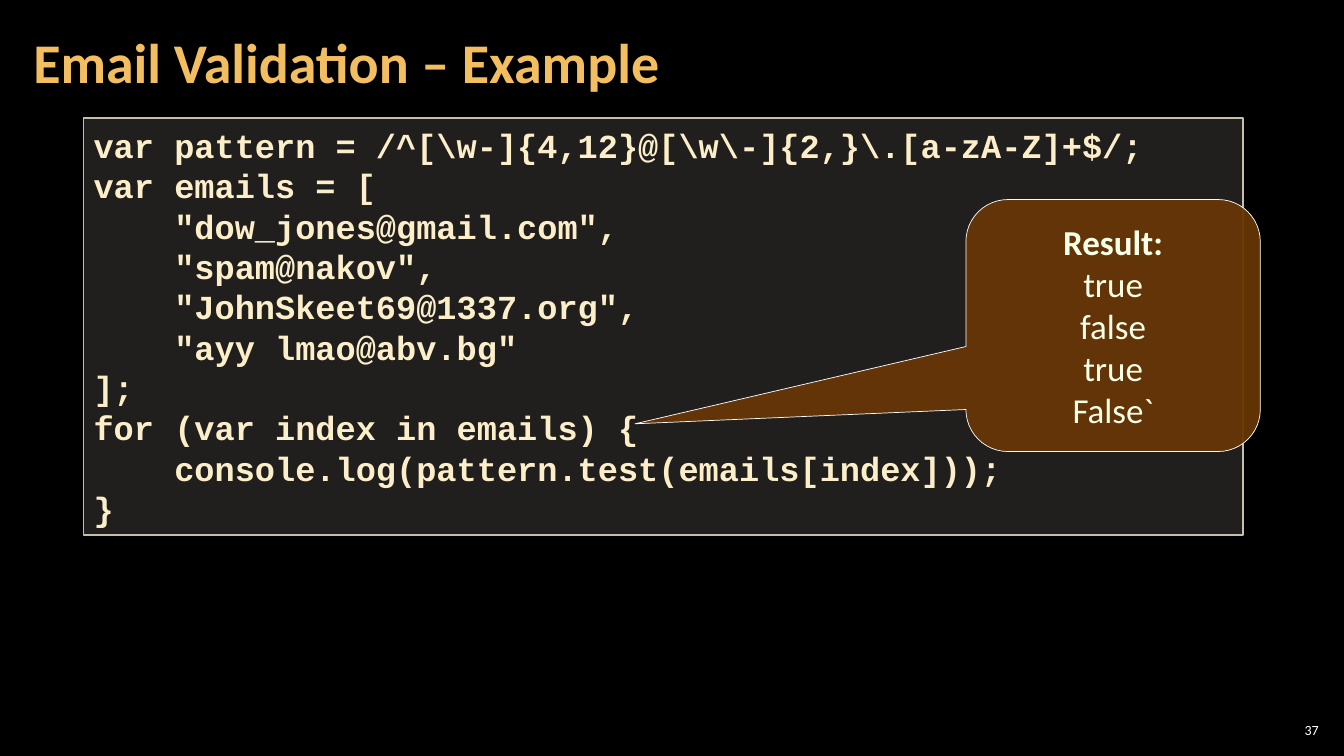
"""Build the slide that shows e-mail validation with a regular expression."""
from dataclasses import dataclass
from typing import Any, Optional

from lxml import etree
from pptx import Presentation
from pptx import util as u
from pptx.dml import color
from pptx.enum import shapes, text
from pptx.oxml import ns


@dataclass(frozen=True)
class Theme:
    sans: str = "Calibri"
    mono: str = "Courier New"
    background: str = "000000"
    white: str = "FFFFFF"
    title: str = "F3BE60"
    code: str = "FBEEC9"
    code_fill: str = "D9D5C7"
    code_line: str = "C7BFAC"
    result: str = "F7FFE7"
    result_fill: str = "663606"
    number_size: float = 10
    title_size: float = 40
    code_size: float = 24
    result_size: float = 25
    result_leading: float = 30


@dataclass(frozen=True)
class Frame:
    left: float
    top: float
    width: float
    height: float

    def place(self) -> list[u.Length]:
        return [u.Inches(v) for v in (self.left, self.top, self.width, self.height)]


@dataclass(frozen=True)
class Panel:
    kind: shapes.MSO_SHAPE
    frame: Frame
    fill: str
    opacity: int
    line: str
    line_width: float
    adjustments: tuple[float, ...] = ()


THEME = Theme()
CODE = r'''var pattern = /^[\w-]{4,12}@[\w\-]{2,}\.[a-zA-Z]+$/;
var emails = [
    "dow_jones@gmail.com",
    "spam@nakov",
    "JohnSkeet69@1337.org",
    "ayy lmao@abv.bg"
];
for (var index in emails) {
    console.log(pattern.test(emails[index]));
}'''
RESULT = "Result:\ntrue\nfalse\ntrue\nFalse`"
CODE_PANEL = Panel(shapes.MSO_SHAPE.RECTANGLE, Frame(0.83, 1.17, 11.5, 4.14),
                   THEME.code_fill, 15, THEME.code_line, 1)
RESULT_PANEL = Panel(shapes.MSO_SHAPE.ROUNDED_RECTANGULAR_CALLOUT,
                     Frame(9.58, 1.98, 2.92, 2.5), THEME.result_fill, 95,
                     THEME.white, 0.5, (-1.624, 0.39, 0.167))


def rgb(value: str) -> color.RGBColor:
    return color.RGBColor.from_string(value)


def write(box: Any, content: str, *, font: str, size: float, ink: str,
          bold_lines: int = 0, align: text.PP_ALIGN = text.PP_ALIGN.LEFT,
          spacing: Optional[float | u.Length] = None,
          inset: tuple[float, float] = (0.1, 0.05)) -> None:
    frame = box.text_frame
    frame.word_wrap = True
    frame.auto_size = text.MSO_AUTO_SIZE.NONE
    frame.vertical_anchor = text.MSO_ANCHOR.MIDDLE
    frame.margin_left = frame.margin_right = u.Inches(inset[0])
    frame.margin_top = frame.margin_bottom = u.Inches(inset[1])
    for index, line in enumerate(content.splitlines()):
        para = frame.add_paragraph() if index else frame.paragraphs[0]
        para.alignment = align
        para.line_spacing = spacing
        span = para.add_run()
        span.text = line
        span.font.name = font
        span.font.size = u.Pt(size)
        span.font.bold = index < bold_lines
        span.font.color.rgb = rgb(ink)


def add_panel(page: Any, panel: Panel) -> Any:
    box = page.shapes.add_shape(panel.kind, *panel.frame.place())
    box.shadow.inherit = False
    for index, value in enumerate(panel.adjustments):
        box.adjustments[index] = value
    box.fill.solid()
    box.fill.fore_color.rgb = rgb(panel.fill)
    tint = box.element.spPr.find(ns.qn("a:solidFill"))[0]
    etree.SubElement(tint, ns.qn("a:alpha"), val=str(panel.opacity * 1000))
    box.line.color.rgb = rgb(panel.line)
    box.line.width = u.Pt(panel.line_width)
    return box


def main() -> None:
    deck = Presentation()
    deck.slide_width, deck.slide_height = u.Inches(13.33), u.Inches(7.5)
    page = deck.slides.add_slide(deck.slide_layouts[5])
    page.background.fill.solid()
    page.background.fill.fore_color.rgb = rgb(THEME.background)

    number = page.shapes.add_textbox(*Frame(12.65, 7.14, 0.47, 0.21).place())
    write(number, "37", font=THEME.sans, size=THEME.number_size, ink=THEME.white,
          align=text.PP_ALIGN.RIGHT, inset=(0.04, 0.04))

    title = page.shapes.title
    title.left, title.top, title.width, title.height = Frame(0.21, 0.04, 10.47, 1.21).place()
    write(title, "Email Validation – Example", font=THEME.sans, size=THEME.title_size,
          ink=THEME.title, bold_lines=1, spacing=0.9, inset=(0.12, 0.04))

    write(add_panel(page, CODE_PANEL), CODE, font=THEME.mono, size=THEME.code_size,
          ink=THEME.code, bold_lines=len(CODE.splitlines()))
    write(add_panel(page, RESULT_PANEL), RESULT, font=THEME.sans, size=THEME.result_size,
          ink=THEME.result, bold_lines=1, align=text.PP_ALIGN.CENTER,
          spacing=u.Pt(THEME.result_leading), inset=(0.1, 0.08))
    deck.save("out.pptx")


if __name__ == "__main__":
    main()
